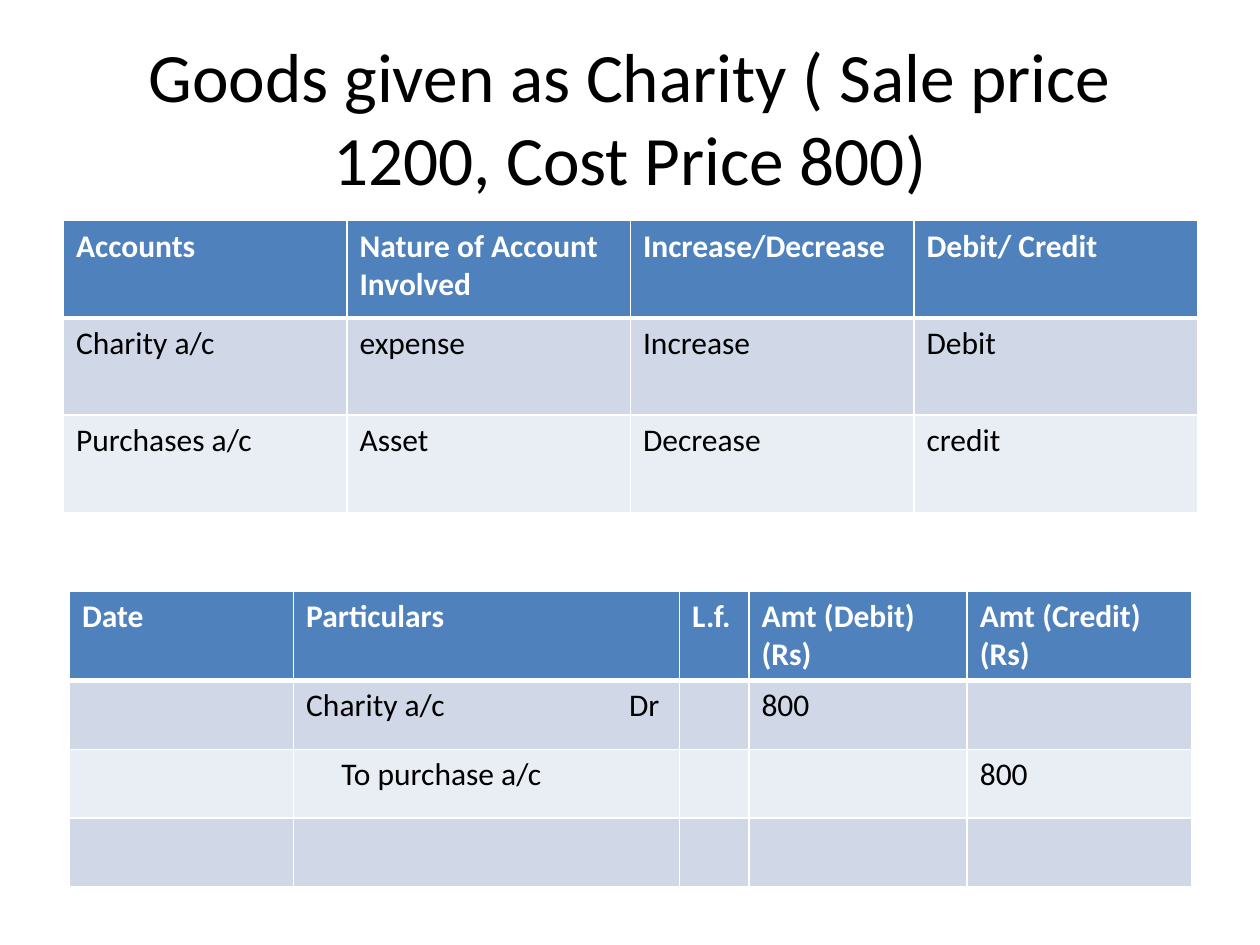
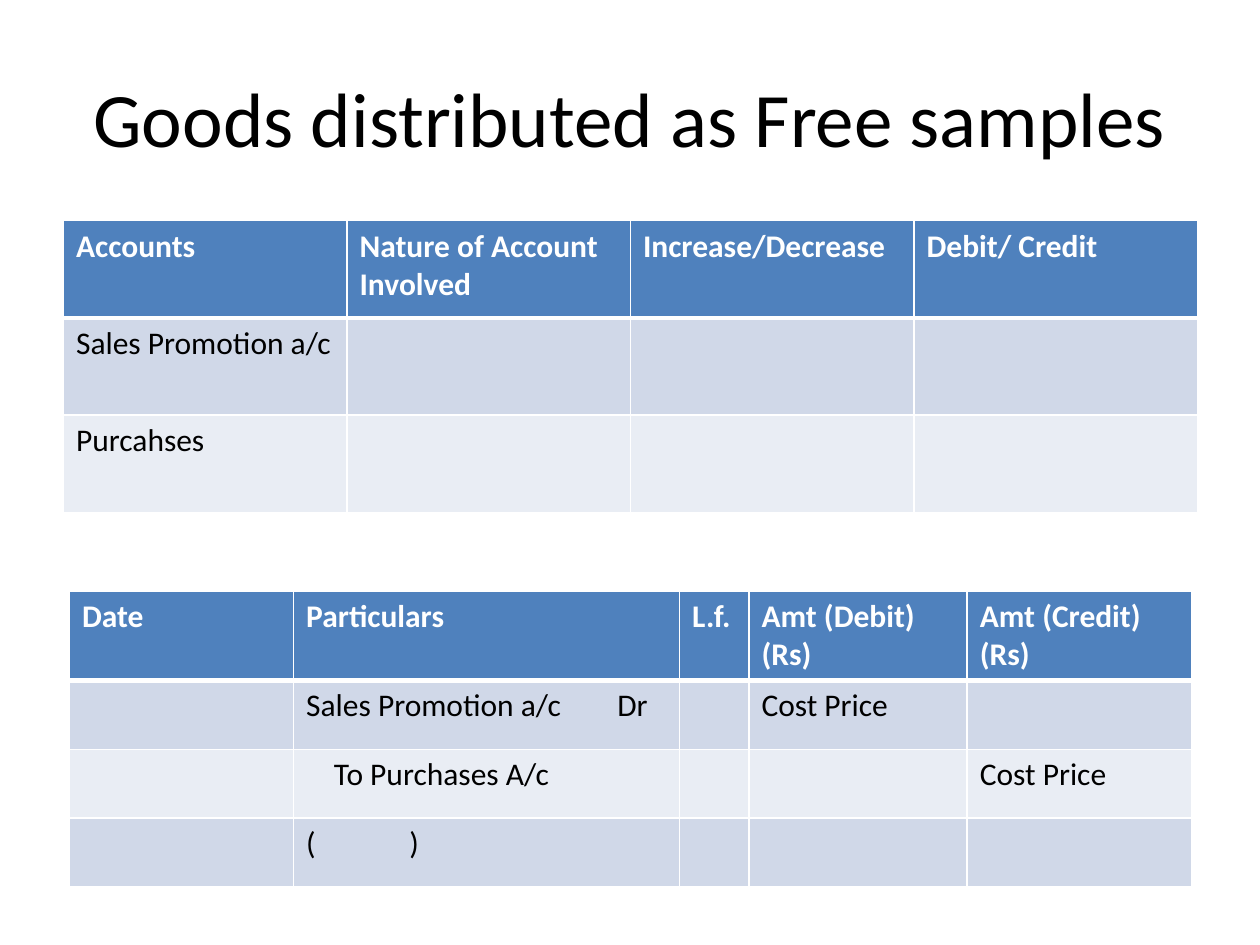
from dataclasses import dataclass

from lxml import etree
from pptx import Presentation
from pptx.dml.color import RGBColor
from pptx.enum.text import MSO_ANCHOR, MSO_AUTO_SIZE, PP_ALIGN
from pptx.oxml.ns import qn
from pptx.util import Cm, Pt

CENTER = PP_ALIGN.CENTER
MIDDLE = MSO_ANCHOR.MIDDLE
NO_AUTOFIT = MSO_AUTO_SIZE.NONE

FONT = "Calibri"
BLACK, WHITE = "000000", "FFFFFF"
HEADER_FILL = "4F81BD"
BAND_FILLS = ("D0D8E8", "E9EDF4")
THIN, THICK = 1, 3
TITLE_ONLY = 5


@dataclass(frozen=True)
class Entry:
    """Cell text with an optional tab stop and left indent, in centimetres."""
    text: str
    tab: float = 0
    indent: float = 0


@dataclass(frozen=True)
class TableStyle:
    left: float
    top: float
    widths: tuple[float, ...]
    header_height: float
    row_height: float
    headings: tuple[str, ...]


@dataclass(frozen=True)
class Transaction:
    title: str
    title_size: float
    accounts: list[tuple]
    journal: list[tuple]


ACCOUNTS = TableStyle(1.28, 4.45, (5.715,) * 4, 1.96, 1.96,
                      ("Accounts", "Nature of Account Involved",
                       "Increase/Decrease", "Debit/ Credit"))
JOURNAL = TableStyle(1.4, 11.91, (4.52, 7.78, 1.4, 4.4, 4.52), 1.8, 1.39,
                     ("Date", "Particulars", "L.f.",
                      "Amt (Debit) (Rs)", "Amt (Credit) (Rs)"))

TRANSACTIONS = [
    Transaction(
        "Goods given as Charity ( Sale price 1200, Cost Price 800)", 39.6,
        [("Charity a/c", "expense", "Increase", "Debit"),
         ("Purchases a/c", "Asset", "Decrease", "credit")],
        [("", Entry("Charity a/c\tDr", tab=6.51), "", "800", ""),
         ("", Entry("To purchase a/c", indent=0.71), "", "", "800"),
         ("",) * 5]),
    Transaction(
        "Goods distributed as Free samples", 44,
        [("Sales Promotion a/c", "", "", ""),
         ("Purcahses", "", "", "")],
        [("", Entry("Sales Promotion a/c\tDr", tab=6.27), "", "Cost Price", ""),
         ("", Entry("To Purchases A/c", indent=0.56), "", "", "Cost Price"),
         ("", Entry("(\t)", tab=2.08), "", "", "")]),
]


def color(value: str) -> RGBColor:
    return RGBColor.from_string(value)


def write(frame, text: str, *, size: float = 18, ink: str = BLACK,
          bold: bool = False, align=None, tab: float = 0, indent: float = 0) -> None:
    para = frame.paragraphs[0]
    properties = para._p.get_or_add_pPr()
    if indent:
        properties.set("marL", str(Cm(indent)))
    if tab:
        stops = etree.SubElement(properties, qn("a:tabLst"))
        etree.SubElement(stops, qn("a:tab"), pos=str(Cm(tab)), algn="l")
    if align is not None:
        para.alignment = align
    para.font.size = Pt(size)
    if text:
        span = para.add_run()
        span.text = text
        span.font.name = FONT
        span.font.size = Pt(size)
        span.font.bold = bold
        span.font.color.rgb = color(ink)


def set_borders(cell, top: float, bottom: float) -> None:
    """Draw white cell borders, with thin sides."""
    properties = cell._tc.get_or_add_tcPr()
    sides = {"lnL": THIN, "lnR": THIN, "lnT": top, "lnB": bottom}
    for index, (side, width) in enumerate(sides.items()):
        line = etree.Element(qn(f"a:{side}"), w=str(Pt(width)))
        fill = etree.SubElement(line, qn("a:solidFill"))
        etree.SubElement(fill, qn("a:srgbClr"), val=WHITE)
        properties.insert(index, line)


def add_table(page, style: TableStyle, body: list[tuple]) -> None:
    rows = [style.headings, *body]
    heights = [style.header_height] + [style.row_height] * len(body)
    table = page.shapes.add_table(
        len(rows), len(style.widths), Cm(style.left), Cm(style.top),
        Cm(sum(style.widths)), Cm(sum(heights))).table
    for column, width in zip(table.columns, style.widths):
        column.width = Cm(width)
    for row_index, (values, height) in enumerate(zip(rows, heights)):
        table.rows[row_index].height = Cm(height)
        header = row_index == 0
        for column_index, value in enumerate(values):
            entry = value if isinstance(value, Entry) else Entry(value)
            cell = table.cell(row_index, column_index)
            cell.fill.solid()
            cell.fill.fore_color.rgb = color(
                HEADER_FILL if header else BAND_FILLS[(row_index - 1) % 2])
            set_borders(cell, top=THICK if row_index == 1 else THIN,
                        bottom=THICK if header else THIN)
            write(cell.text_frame, entry.text, ink=WHITE if header else BLACK,
                  bold=header, tab=entry.tab, indent=entry.indent)


def set_title(page, text: str, size: float) -> None:
    box = page.shapes.title
    box.left, box.top, box.width, box.height = Cm(1.27), Cm(0.76), Cm(22.86), Cm(3.18)
    frame = box.text_frame
    frame.word_wrap = True
    frame.auto_size = NO_AUTOFIT
    frame.vertical_anchor = MIDDLE
    write(frame, text, size=size, align=CENTER)


def main() -> None:
    deck = Presentation()
    deck.slide_width, deck.slide_height = Cm(25.4), Cm(19.05)
    for transaction in TRANSACTIONS:
        page = deck.slides.add_slide(deck.slide_layouts[TITLE_ONLY])
        set_title(page, transaction.title, transaction.title_size)
        add_table(page, ACCOUNTS, transaction.accounts)
        add_table(page, JOURNAL, transaction.journal)
    deck.save("out.pptx")


if __name__ == "__main__":
    main()
